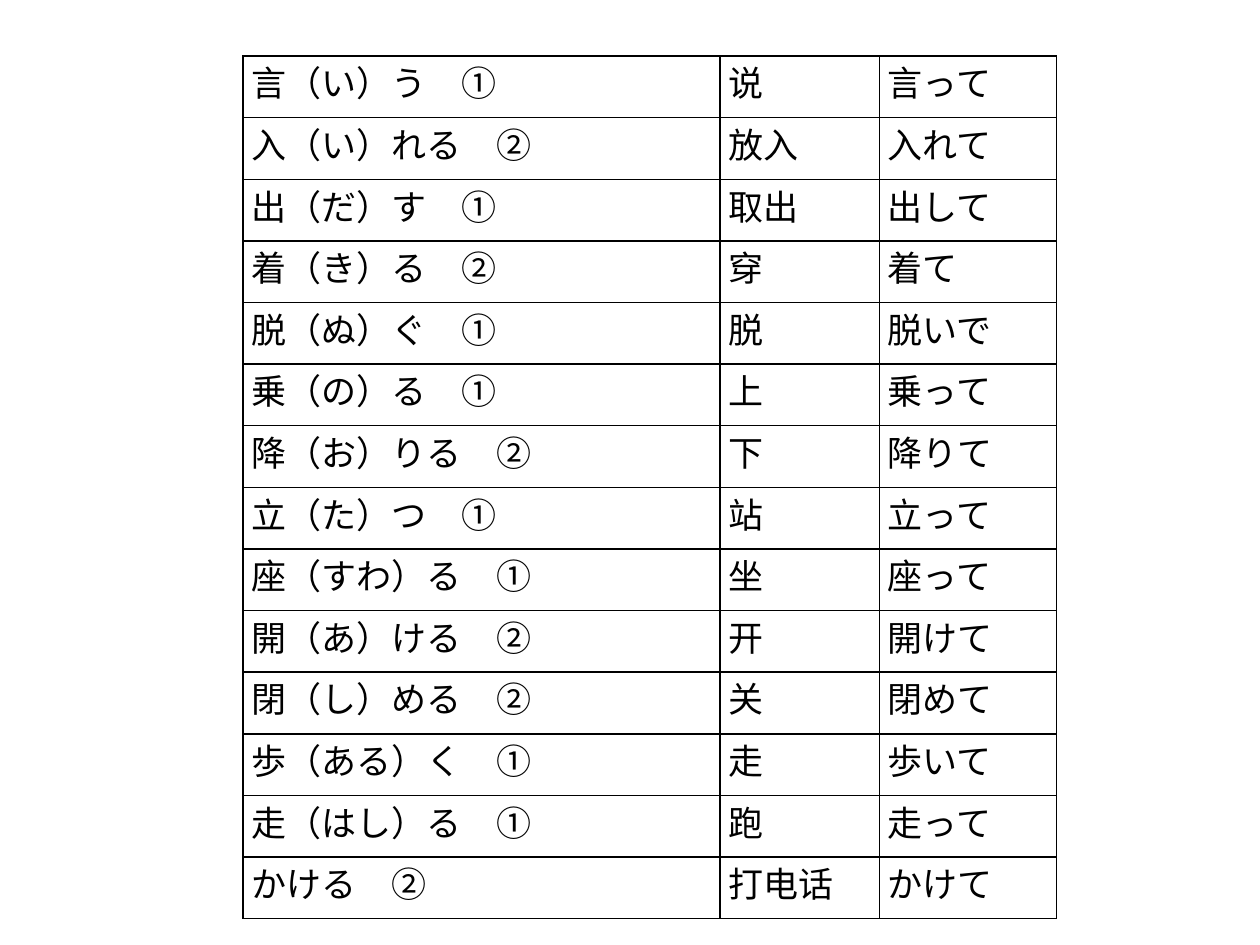
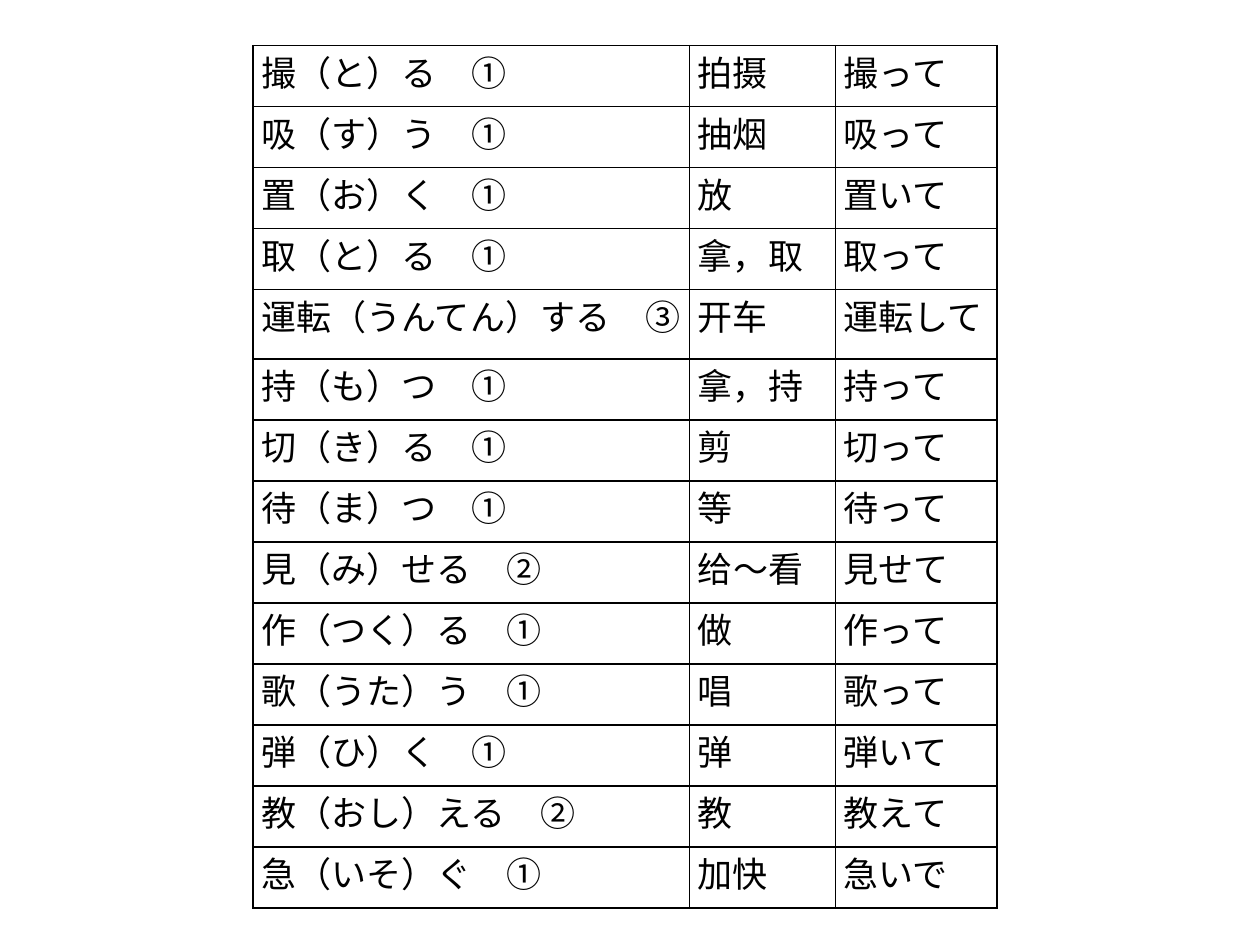
import itertools
from dataclasses import dataclass

import pptx
import pptx.dml.color
import pptx.enum.text
import pptx.oxml
import pptx.oxml.ns
import pptx.util
from pptx.util import Cm

COLORS = {"ink": "000000"}
LATIN_FONT = "TeX Gyre Schola"
CJK_FONT = "Noto Sans CJK SC"
TEXT_SIZE = pptx.util.Pt(20)
BORDER_WIDTH = pptx.util.Pt(1)
SIDE_MARGIN = Cm(0.17)


@dataclass(frozen=True)
class Verb:
    word: str
    meaning: str
    te_form: str
    height: float | None = None


@dataclass(frozen=True)
class VerbTable:
    left: float
    top: float
    widths: tuple[float, ...]
    row_height: float
    verbs: tuple[Verb, ...]


TABLES = (
    VerbTable(4.9, 1.13, (9.62, 3.21, 3.57), 17.4 / 14, (
        Verb("言（い）う　①", "说", "言って"),
        Verb("入（い）れる　②", "放入", "入れて"),
        Verb("出（だ）す　①", "取出", "出して"),
        Verb("着（き）る　②", "穿", "着て"),
        Verb("脱（ぬ）ぐ　①", "脱", "脱いで"),
        Verb("乗（の）る　①", "上", "乗って"),
        Verb("降（お）りる　②", "下", "降りて"),
        Verb("立（た）つ　①", "站", "立って"),
        Verb("座（すわ）る　①", "坐", "座って"),
        Verb("開（あ）ける　②", "开", "開けて"),
        Verb("閉（し）める　②", "关", "閉めて"),
        Verb("歩（ある）く　①", "走", "歩いて"),
        Verb("走（はし）る　①", "跑", "走って"),
        Verb("かける　②", "打电话", "かけて"),
    )),
    VerbTable(5.1, 0.92, (8.8, 2.94, 3.26), 1.23, (
        Verb("撮（と）る　①", "拍摄", "撮って"),
        Verb("吸（す）う　①", "抽烟", "吸って"),
        Verb("置（お）く　①", "放", "置いて"),
        Verb("取（と）る　①", "拿，取", "取って"),
        Verb("運転（うんてん）する　③", "开车", "運転して", height=1.4),
        Verb("持（も）つ　①", "拿，持", "持って"),
        Verb("切（き）る　①", "剪", "切って"),
        Verb("待（ま）つ　①", "等", "待って"),
        Verb("見（み）せる　②", "给～看", "見せて"),
        Verb("作（つく）る　①", "做", "作って"),
        Verb("歌（うた）う　①", "唱", "歌って"),
        Verb("弾（ひ）く　①", "弹", "弾いて"),
        Verb("教（おし）える　②", "教", "教えて"),
        Verb("急（いそ）ぐ　①", "加快", "急いで"),
    )),
)


def add_borders(cell: pptx.table._Cell) -> None:
    tc_pr = cell._tc.get_or_add_tcPr()
    for side in ("lnL", "lnR", "lnT", "lnB"):
        tc_pr.append(pptx.oxml.parse_xml(
            f'<a:{side} {pptx.oxml.ns.nsdecls("a")} w="{BORDER_WIDTH}">'
            f'<a:solidFill><a:srgbClr val="{COLORS["ink"]}"/></a:solidFill>'
            f'</a:{side}>'
        ))


def add_run(p: pptx.text.text._Paragraph, text: str, font: str) -> None:
    r = p.add_run()
    r.text = text
    r.font.size = TEXT_SIZE
    r.font.color.rgb = pptx.dml.color.RGBColor.from_string(COLORS["ink"])
    r.font.name = font
    r.font._element.find(pptx.oxml.ns.qn("a:latin")).addnext(pptx.oxml.parse_xml(
        f'<a:ea {pptx.oxml.ns.nsdecls("a")} typeface="{CJK_FONT}"/>'
    ))


def fill_cell(cell: pptx.table._Cell, text: str) -> None:
    add_borders(cell)
    cell.fill.background()
    cell.margin_left = cell.margin_right = SIDE_MARGIN
    cell.margin_top = cell.margin_bottom = 0
    p = cell.text_frame.paragraphs[0]
    p.alignment = pptx.enum.text.PP_ALIGN.JUSTIFY
    for is_wave, chars in itertools.groupby(text, lambda char: char == "～"):
        add_run(p, "".join(chars), CJK_FONT if is_wave else LATIN_FONT)


def add_verb_table(s: pptx.slide.Slide, verb_table: VerbTable) -> None:
    heights = [verb.height or verb_table.row_height for verb in verb_table.verbs]
    table = s.shapes.add_table(
        len(heights), len(verb_table.widths),
        Cm(verb_table.left), Cm(verb_table.top),
        Cm(sum(verb_table.widths)), Cm(sum(heights)),
    ).table
    table.first_row = table.horz_banding = False
    for column, width in zip(table.columns, verb_table.widths):
        column.width = Cm(width)
    for row, verb, height in zip(table.rows, verb_table.verbs, heights):
        row.height = Cm(height)
        for cell, text in zip(row.cells, (verb.word, verb.meaning, verb.te_form)):
            fill_cell(cell, text)


def main() -> None:
    prs = pptx.Presentation()
    prs.slide_width, prs.slide_height = Cm(25.4), Cm(19.05)
    for verb_table in TABLES:
        s = prs.slides.add_slide(prs.slide_layouts[6])
        add_verb_table(s, verb_table)
    prs.save("out.pptx")


if __name__ == "__main__":
    main()
